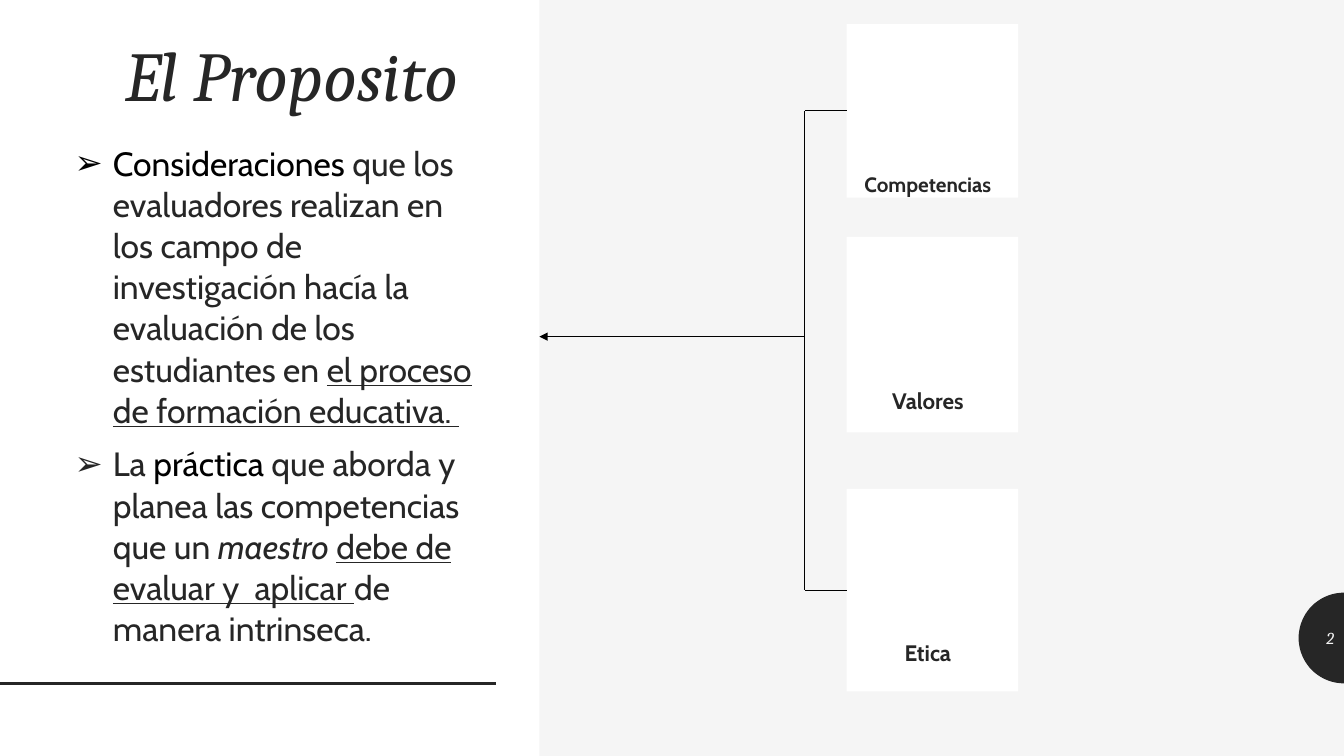
from math import cos, pi, sin
from pptx import Presentation
from pptx import util as u
from pptx.dml.color import RGBColor
from pptx.enum import shapes, text
from pptx.oxml.ns import qn
from lxml import etree

INK, PAPER, MIST, BLACK = "262626", "FFFFFF", "F5F5F5", "000000"
LEFT, MID, RIGHT = text.PP_ALIGN.LEFT, text.PP_ALIGN.CENTER, text.PP_ALIGN.RIGHT
TOP, LOW = text.MSO_ANCHOR.TOP, text.MSO_ANCHOR.BOTTOM


def hue(code):
    return RGBColor.from_string(code)


def apply(obj, vals):
    for key, val in vals.items():
        setattr(obj, key, val)


class Deck:
    """Holds the style and the slide; places are percent of its size."""
    head = dict(name="Cambria", italic=True, bold=False)
    body = dict(name="Cabin", italic=False, bold=False, underline=False)

    def __init__(self):
        self.prs = Presentation()
        self.prs.slide_width, self.prs.slide_height = u.Inches(13.33), u.Inches(7.5)
        self.page = self.prs.slides.add_slide(self.prs.slide_layouts[4])
        self.items = self.page.shapes
        self.slots = {p.placeholder_format.idx: p for p in self.page.placeholders}
        fill = self.page.background.fill
        fill.solid()
        fill.fore_color.rgb = hue(MIST)

    def col(self, n):
        return round(self.prs.slide_width * n / 100)

    def row(self, n):
        return round(self.prs.slide_height * n / 100)

    def area(self, x, y, w, h):
        return self.col(x), self.row(y), self.col(w), self.row(h)

    def paint(self, item, code):
        item.fill.solid()
        item.fill.fore_color.rgb = hue(code)

    def plain(self, item, code):
        self.paint(item, code)
        item.line.fill.background()
        item.shadow.inherit = False

    def rect(self, *box):
        item = self.items.add_shape(shapes.MSO_SHAPE.RECTANGLE, *self.area(*box))
        self.plain(item, PAPER)
        return item

    def disc(self, x, y, r):
        """Half disc whose flat side lies on the line x."""
        cx, cy, rad = self.col(x), self.row(y), self.row(r)
        arc = [(round(cx - rad * sin(pi * k / 40)), round(cy - rad * cos(pi * k / 40)))
               for k in range(41)]
        form = self.items.build_freeform(*arc[0])
        form.add_line_segments(arc[1:])
        self.plain(form.convert_to_shape(), INK)

    def line(self, x1, y1, x2, y2, code=BLACK, width=0.5, arrow=False):
        """Ends are given in EMU, so they can be taken from other shapes."""
        item = self.items.add_connector(shapes.MSO_CONNECTOR.STRAIGHT, x1, y1, x2, y2)
        item.line.color.rgb = hue(code)
        item.line.width = u.Pt(width)
        if arrow:
            tip = etree.SubElement(item.line._get_or_add_ln(), qn("a:tailEnd"))
            tip.set("type", "triangle")
        etree.SubElement(item._element.spPr, qn("a:effectLst"))
        return item

    def slot(self, idx, *box):
        item = self.slots[idx]
        apply(item, dict(zip(("left", "top", "width", "height"), self.area(*box))))
        return item

    def frame(self, item, anchor, **pads):
        apply(item.text_frame, dict(word_wrap=True, vertical_anchor=anchor,
                                    auto_size=text.MSO_AUTO_SIZE.NONE))
        apply(item.text_frame, {"margin_" + k: u.Inches(v) for k, v in pads.items()})
        return item.text_frame

    def para(self, para, runs, look, size, align, space=1.0, before=0, mark=None):
        apply(para, dict(alignment=align, line_spacing=space, space_before=u.Pt(before)))
        ppr = para._p.get_or_add_pPr()
        dent = u.Inches(0.38) if mark else 0
        ppr.set("marL", str(dent))
        ppr.set("indent", str(-dent))
        bullet = etree.SubElement(ppr, qn("a:buChar" if mark else "a:buNone"))
        if mark:
            bullet.set("char", mark)
        for words, code, extra in runs:
            run = para.add_run()
            run.text = words
            apply(run.font, {**look, "size": u.Pt(size), **extra})
            run.font.color.rgb = hue(code)


def main():
    deck = Deck()

    # Left panel, its rule and the half disc; the panel lies at the back
    panel = deck.rect(0, 0, 40.13, 100)
    deck.items._spTree.insert(2, panel._element)
    base = deck.row(90.4)
    deck.line(0, base, deck.col(36.9), base, INK, 2)
    deck.disc(100, 84.4, 6)

    # Title
    title = deck.frame(deck.slot(0, 4.8, 3.2, 31.43, 12.93), LOW, right=0.28)
    deck.para(title.paragraphs[0], [("El Proposito", INK, {})], deck.head, 50, RIGHT, 0.9)

    # Bulleted list
    under, slant = dict(underline=True), dict(italic=True)
    points = [
        [("Consideraciones", BLACK, {}),
         (" que los evaluadores realizan en los campo de investigación hacía la "
          "evaluación de los estudiantes en ", INK, {}),
         ("el proceso de formación educativa. ", INK, under)],
        [("La ", INK, {}), ("práctica", BLACK, {}),
         (" que aborda y planea las competencias que un ", INK, {}),
         ("maestro ", INK, slant), ("debe de evaluar y  aplicar ", INK, under),
         ("de manera intrinseca.", INK, {})],
    ]
    body = deck.frame(deck.slot(2, 4.8, 18.13, 31.5, 70.53), TOP)
    for n, runs in enumerate(points):
        para = body.add_paragraph() if n else body.paragraphs[0]
        deck.para(para, runs, deck.body, 24, LEFT, 1.02, 9, "➢")

    # Cards
    cards = []
    for idx, word, y, h, size, space in [(1, "Competencias", 3.2, 22.93, 14.8, 1.02),
                                         (3, "Valores", 31.33, 25.87, 16, 1.12),
                                         (4, "Etica", 64.67, 26.8, 16, 1.12)]:
        card = deck.slot(idx, 63, y, 12.75, h)
        deck.paint(card, PAPER)
        label = deck.frame(card, TOP, left=0.08, top=1.46, right=0.17, bottom=0)
        deck.para(label.paragraphs[0], [(word, INK, dict(bold=True))],
                  deck.body, size, MID, space, 9)
        cards.append(card)

    # Bracket from the outer cards, with an arrow to the panel
    trunk, stem = deck.col(59.87), deck.row(44.53)
    ends = []
    for card in (cards[0], cards[-1]):
        mid = card.top + card.height // 2
        deck.line(card.left, mid, trunk, mid).begin_connect(card, 1)
        ends.append(mid)
    deck.line(trunk, ends[0], trunk, ends[1])
    deck.line(trunk, stem, panel.width, stem, arrow=True)

    # Page number
    box = deck.items.add_textbox(*deck.area(96.63, 81.73, 3.37, 5.33))
    num = deck.frame(box, text.MSO_ANCHOR.MIDDLE)
    deck.para(num.paragraphs[0], [("2", MIST, {})], deck.head, 12, RIGHT)

    deck.prs.save("out.pptx")


if __name__ == "__main__":
    main()
